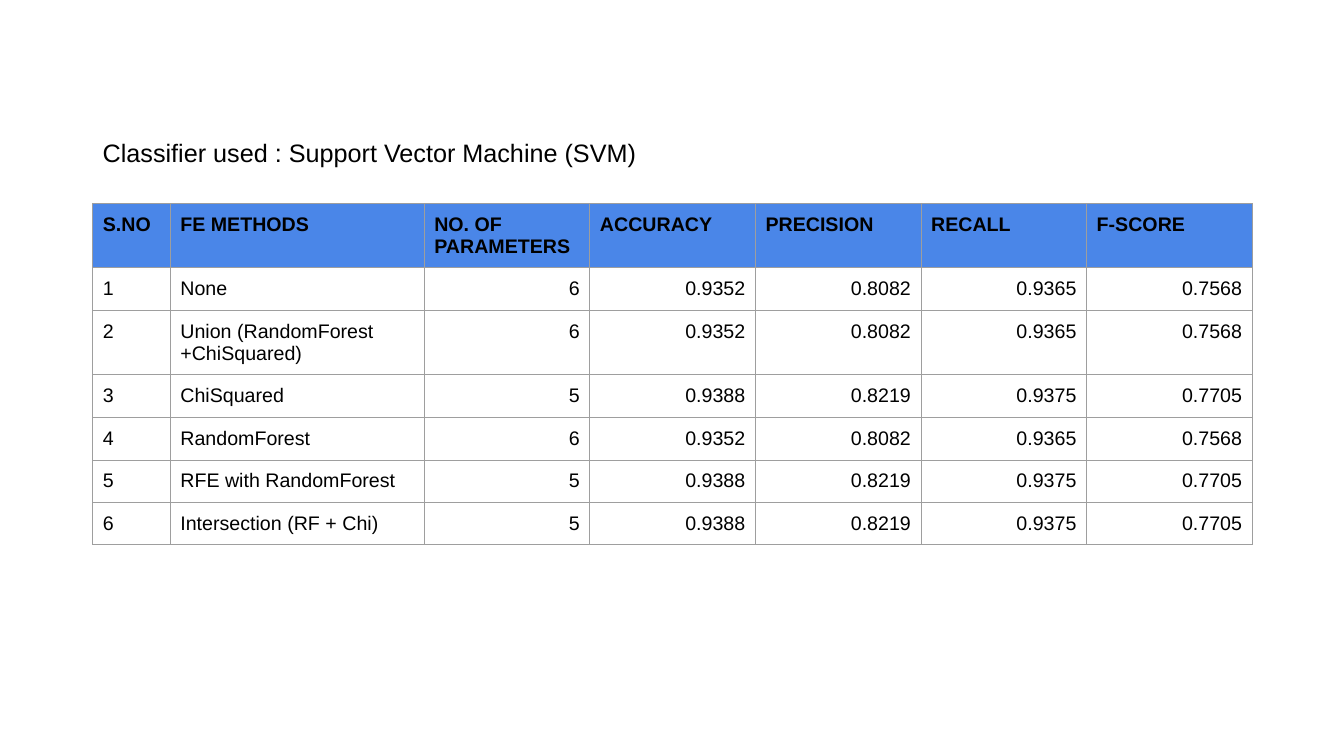
from lxml import etree
from pptx import Presentation
from pptx.dml.color import RGBColor
from pptx.enum import text
from pptx.oxml import ns
from pptx.util import Pt

COLORS = {"text": "000000", "header": "4A86E8", "border": "9E9E9E"}
FONT = "Arial"
LEFT = 66.24
INSET = 7.2

HEADERS = ["S.NO", "FE METHODS", "NO. OF PARAMETERS", "ACCURACY",
           "PRECISION", "RECALL", "F-SCORE"]
RESULTS = [
    ["1", "None", "6", "0.9352", "0.8082", "0.9365", "0.7568"],
    ["2", "Union (RandomForest +ChiSquared)", "6", "0.9352", "0.8082", "0.9365", "0.7568"],
    ["3", "ChiSquared", "5", "0.9388", "0.8219", "0.9375", "0.7705"],
    ["4", "RandomForest", "6", "0.9352", "0.8082", "0.9365", "0.7568"],
    ["5", "RFE with RandomForest", "5", "0.9388", "0.8219", "0.9375", "0.7705"],
    ["6", "Intersection (RF + Chi)", "5", "0.9388", "0.8219", "0.9375", "0.7705"],
]
COLUMN_WIDTHS = [55.4, 181.4] + [118.3] * 5
ROW_HEIGHTS = [30.24, 30.24, 30.96, 30.96, 30.24, 30.24, 30.24]
FIRST_NUMBER_COLUMN = 2


def format_text(paragraph, size, bold=False):
    for run in paragraph.runs:
        run.font.name = FONT
        run.font.size = Pt(size)
        run.font.bold = bold
        run.font.color.rgb = RGBColor.from_string(COLORS["text"])


def set_insets(holder):
    holder.margin_left = holder.margin_right = Pt(INSET)
    holder.margin_top = holder.margin_bottom = Pt(INSET)


def add_borders(cell):
    # Borders must come before the fill inside the cell properties
    properties = cell._tc.get_or_add_tcPr()
    for position, side in enumerate(("lnL", "lnR", "lnT", "lnB")):
        border = etree.Element(ns.qn(f"a:{side}"), w=str(Pt(0.75)))
        fill = etree.SubElement(border, ns.qn("a:solidFill"))
        etree.SubElement(fill, ns.qn("a:srgbClr"), val=COLORS["border"])
        properties.insert(position, border)


def fill_cell(cell, wording, is_header, is_number):
    cell.text_frame.text = wording
    set_insets(cell)
    paragraph = cell.text_frame.paragraphs[0]
    if is_number:
        paragraph.alignment = text.PP_ALIGN.RIGHT
    format_text(paragraph, 14, is_header)
    if is_header:
        cell.fill.solid()
        cell.fill.fore_color.rgb = RGBColor.from_string(COLORS["header"])
    else:
        cell.fill.background()
    add_borders(cell)


def add_results_table(slide):
    rows = [HEADERS] + RESULTS
    results = slide.shapes.add_table(
        len(rows), len(HEADERS), Pt(LEFT), Pt(145.44),
        Pt(sum(COLUMN_WIDTHS)), Pt(sum(ROW_HEIGHTS))).table
    results.first_row = results.horz_banding = False
    for column, width in zip(results.columns, COLUMN_WIDTHS):
        column.width = Pt(width)
    for row, height in zip(results.rows, ROW_HEIGHTS):
        row.height = Pt(height)
    for r, row in enumerate(rows):
        for c, wording in enumerate(row):
            is_header = r == 0
            is_number = not is_header and c >= FIRST_NUMBER_COLUMN
            fill_cell(results.cell(r, c), wording, is_header, is_number)


def add_caption(slide, wording):
    caption = slide.shapes.add_textbox(Pt(LEFT), Pt(90.72), Pt(430.56), Pt(27.36))
    frame = caption.text_frame
    frame.word_wrap = True
    frame.vertical_anchor = text.MSO_ANCHOR.TOP
    set_insets(frame)
    frame.text = wording
    format_text(frame.paragraphs[0], 18)


def main():
    deck = Presentation()
    deck.slide_width, deck.slide_height = Pt(960), Pt(540)
    slide = deck.slides.add_slide(deck.slide_layouts[6])

    # Comparison of feature extraction methods
    add_results_table(slide)

    # Classifier named above the table
    add_caption(slide, "Classifier used : Support Vector Machine (SVM)")

    deck.save("out.pptx")


if __name__ == "__main__":
    main()
